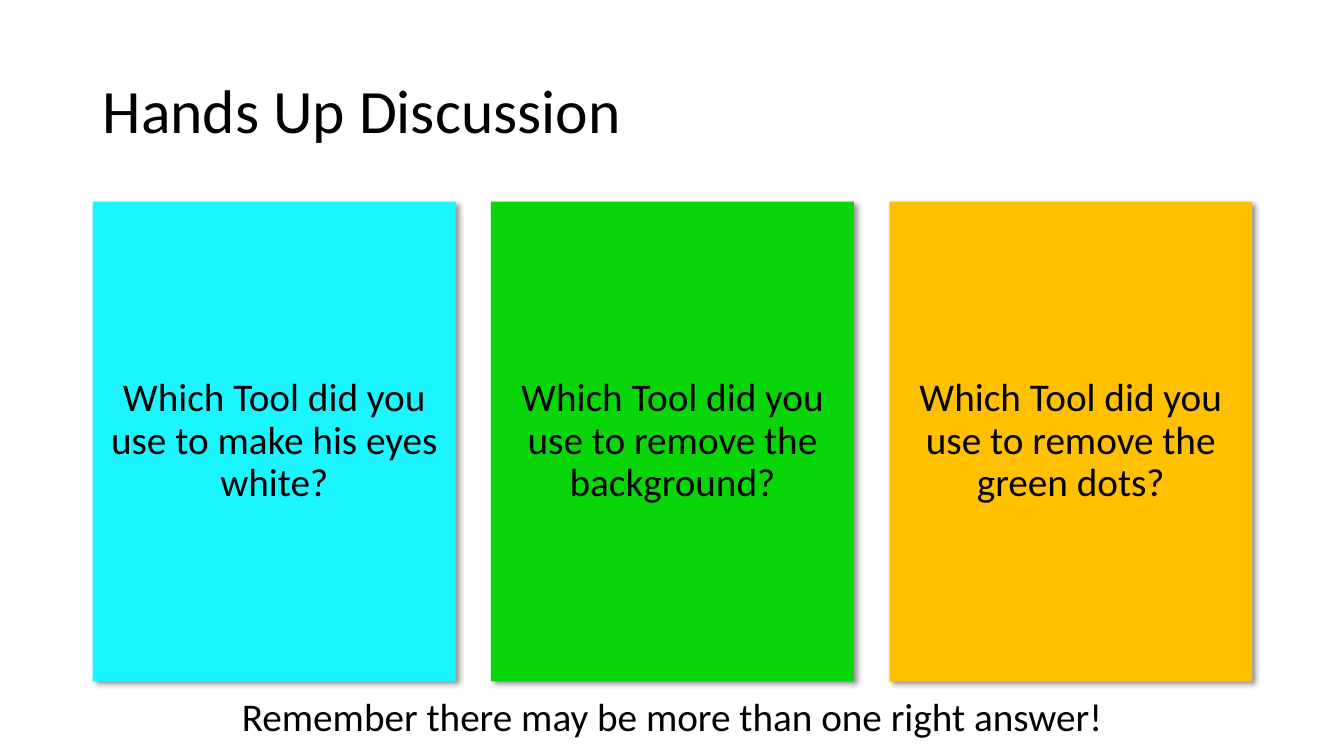
"""Build the Hands Up Discussion slide with three question cards."""
from dataclasses import dataclass

import pptx
import pptx.dml.color
import pptx.enum.shapes
import pptx.enum.text
import pptx.oxml
import pptx.oxml.ns
import pptx.util

Inches = pptx.util.Inches
Pt = pptx.util.Pt
Align = pptx.enum.text.PP_ALIGN


@dataclass(frozen=True)
class Theme:
    font: str = "Calibri"
    text: str = "000000"
    title_size: int = 44
    body_size: int = 28
    cards: tuple = ("1BF5FF", "09D609", "FFC000")


THEME = Theme()
QUESTIONS = (
    "Which Tool did you use to make his eyes white?",
    "Which Tool did you use to remove the background?",
    "Which Tool did you use to remove the green dots?",
)
CARD_LEFT, CARD_TOP, CARD_WIDTH, CARD_HEIGHT = 0.92, 2, 3.6, 4.76
CARD_STEP = 3.95


def color(value):
    return pptx.dml.color.RGBColor.from_string(value)


def write_text(shape, text, size, alignment):
    frame = shape.text_frame
    frame.word_wrap = True
    frame.vertical_anchor = pptx.enum.text.MSO_ANCHOR.MIDDLE
    paragraph = frame.paragraphs[0]
    paragraph.text = text
    paragraph.alignment = alignment
    paragraph.line_spacing = 0.9
    paragraph.font.name = THEME.font
    paragraph.font.size = Pt(size)
    paragraph.font.color.rgb = color(THEME.text)


def add_label(slide, text, left, top, width, height, size, alignment):
    box = slide.shapes.add_textbox(
        Inches(left), Inches(top), Inches(width), Inches(height))
    write_text(box, text, size, alignment)


def add_drop_shadow(shape):
    shape.shadow.inherit = False
    effects = shape.element.spPr.find(pptx.oxml.ns.qn("a:effectLst"))
    effects.append(pptx.oxml.parse_xml(
        f'<a:outerShdw {pptx.oxml.ns.nsdecls("a")} blurRad="{Pt(4)}" '
        f'dist="{Pt(3)}" dir="{45 * 60000}" algn="tl" rotWithShape="0">'
        '<a:srgbClr val="000000"><a:alpha val="40000"/></a:srgbClr>'
        '</a:outerShdw>'))


def add_card(slide, text, left, fill):
    card = slide.shapes.add_shape(
        pptx.enum.shapes.MSO_SHAPE.RECTANGLE, Inches(left), Inches(CARD_TOP),
        Inches(CARD_WIDTH), Inches(CARD_HEIGHT))
    card.fill.solid()
    card.fill.fore_color.rgb = color(fill)
    card.line.fill.background()
    add_drop_shadow(card)
    write_text(card, text, THEME.body_size, Align.CENTER)


def main():
    presentation = pptx.Presentation()
    presentation.slide_width = Inches(13.33)
    presentation.slide_height = Inches(7.5)
    slide = presentation.slides.add_slide(presentation.slide_layouts[6])
    add_label(slide, "Hands Up Discussion", 0.92, 0.4, 11.5, 1.45,
              THEME.title_size, Align.LEFT)
    for index, (question, fill) in enumerate(zip(QUESTIONS, THEME.cards)):
        add_card(slide, question, CARD_LEFT + index * CARD_STEP, fill)
    add_label(slide, "Remember there may be more than one right answer!",
              0, 6.76, 13.33, 0.74, THEME.body_size, Align.CENTER)
    presentation.save("out.pptx")


if __name__ == "__main__":
    main()
